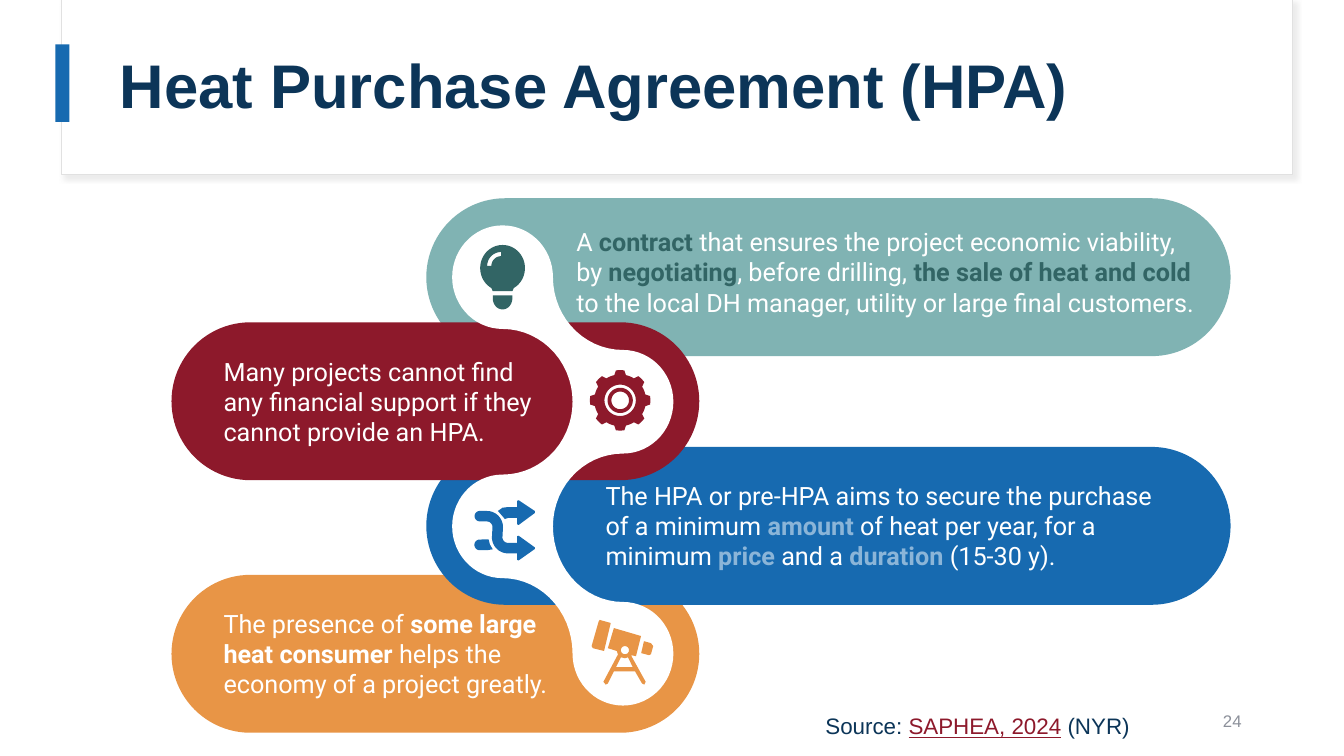
from math import cos, radians, sin

from lxml.etree import SubElement
from pptx import Presentation
from pptx.dml.color import RGBColor
from pptx.enum.shapes import MSO_SHAPE
from pptx.enum.text import MSO_ANCHOR, PP_ALIGN
from pptx.oxml.ns import qn
from pptx.util import Pt

COLORS = {
    "white": "FFFFFF", "frame": "E1E1E1", "shadow": "D9D9D9", "navy": "0C3558",
    "blue": "176AB0", "pale blue": "8BB5D8", "teal": "80B3B3", "dark teal": "326565",
    "red": "8D192B", "orange": "E89546", "gray": "8C909A",
}
DISC_LEFT, DISC_RIGHT = 359, 445
DISC_ROWS = (198, 287, 376, 467)
DISC_WIDTH, DISC_HEIGHT = 36, 37


def color_of(name):
    """Return the named colour."""
    return RGBColor.from_string(COLORS[name])


def paint(shape, fill, line=None):
    """Give a shape a flat fill and an optional thin outline."""
    shape.shadow.inherit = False
    shape.fill.solid()
    shape.fill.fore_color.rgb = color_of(fill)
    if line:
        shape.line.color.rgb = color_of(line)
        shape.line.width = Pt(0.75)
    else:
        shape.line.fill.background()


def add_block(slide, kind, box, fill, line=None):
    """Add a painted preset shape."""
    shape = slide.shapes.add_shape(kind, *map(Pt, box))
    paint(shape, fill, line)
    return shape


def add_pill(slide, box, fill):
    """Add a bar with fully rounded ends."""
    add_block(slide, MSO_SHAPE.ROUNDED_RECTANGLE, box, fill).adjustments[0] = 0.5


def add_drop_shadow(shape):
    """Add a soft shadow towards the lower right."""
    effects = shape._element.spPr.find(qn("a:effectLst"))
    shadow = SubElement(effects, qn("a:outerShdw"), blurRad=str(Pt(4)), dist=str(Pt(3)),
                        dir="2700000", algn="tl", rotWithShape="0")
    color = SubElement(shadow, qn("a:srgbClr"), val=COLORS["shadow"])
    SubElement(color, qn("a:alpha"), val="50000")


def arc(x, y, width, height, start, end):
    """Return points along an elliptic arc, in clockwise degrees."""
    steps = max(2, round(abs(end - start) / 6))
    angles = [radians(start + (end - start) * step / steps) for step in range(steps + 1)]
    return [(x + width * cos(angle), y + height * sin(angle)) for angle in angles]


def circle(x, y, radius):
    """Return the points of a circle."""
    return arc(x, y, radius, radius, 0, 360)


def add_outline(slide, fill, *contours):
    """Add one freeform made of closed contours; inner contours are holes."""
    scaled = [[(Pt(x), Pt(y)) for x, y in contour] for contour in contours]
    builder = slide.shapes.build_freeform(*scaled[0][0], scale=1.0)
    for index, points in enumerate(scaled):
        if index:
            builder.move_to(*points[0])
        builder.add_line_segments(points[1:], close=True)
    paint(builder.convert_to_shape(), fill)


def add_text(slide, box, runs, size, font="Roboto", anchor=MSO_ANCHOR.TOP,
             align=PP_ALIGN.LEFT, spacing=1.0):
    """Add a paragraph whose runs are (text, colour, style) tuples."""
    frame = slide.shapes.add_textbox(*map(Pt, box)).text_frame
    frame.word_wrap = True
    frame.vertical_anchor = anchor
    paragraph = frame.paragraphs[0]
    paragraph.alignment = align
    paragraph.line_spacing = spacing
    for text, color, style in runs:
        run = paragraph.add_run()
        run.text = text
        run.font.name = font
        run.font.size = Pt(size)
        run.font.color.rgb = color_of(color)
        run.font.bold = style == "bold"
        run.font.underline = style == "underline"


def add_ribbon(slide):
    """Add the white ribbon that joins the four icon discs."""
    first, second, third, fourth = DISC_ROWS
    hollow = DISC_RIGHT - DISC_LEFT - DISC_WIDTH
    upper = second - first - DISC_HEIGHT
    lower = fourth - third - DISC_HEIGHT
    disc = (DISC_WIDTH, DISC_HEIGHT)
    add_outline(slide, "white", (
        arc(DISC_LEFT, first, *disc, 90, 360)
        + arc(DISC_RIGHT, first, hollow, upper, 180, 90)
        + arc(DISC_RIGHT, second, *disc, -90, 90)
        + arc(DISC_RIGHT, third, hollow, upper, 270, 180)
        + arc(DISC_RIGHT, third, hollow, lower, 180, 90)
        + arc(DISC_RIGHT, fourth, *disc, -90, 180)
        + arc(DISC_LEFT, fourth, hollow, lower, 0, -90)
        + arc(DISC_LEFT, third, *disc, 90, 270)
        + arc(DISC_LEFT, second, hollow, upper, 90, -90)))


def add_bulb(slide, color):
    """Add the light bulb icon."""
    glass = arc(359, 191.5, 16, 16.5, 120, 420) + [(366, 208), (352, 208)]
    glint = arc(358, 190, 10, 10, 180, 270) + arc(358, 190, 7, 7, 270, 180)
    add_outline(slide, color, glass, glint)
    add_outline(slide, color, [(352, 211), (366, 211)] + arc(359, 213, 7, 8, 0, 180))


def add_gear(slide, color):
    """Add the gear icon with eight teeth."""
    x, y = 443, 286
    teeth = []
    for angle in range(0, 360, 45):
        teeth += arc(x, y, 21.6, 21.6, angle - 8, angle + 8)
        teeth += arc(x, y, 18.5, 18.5, angle + 13, angle + 32)
    add_outline(slide, color, teeth, circle(x, y, 11.2))
    add_outline(slide, color, circle(x, y, 9), circle(x, y, 6.3))


def add_shuffle(slide, color):
    """Add the icon of two crossing arrows."""
    add_outline(slide, color, (
        arc(342.7, 368.7, 3.7, 3.7, 90, 270)
        + arc(347.8, 376.5, 11.5, 11.5, -90, 0)
        + arc(362.9, 383.8, 4, 4, 180, 90)
        + [(369.4, 387.8), (369.4, 383), (370.5, 382.7), (382, 391), (382, 392.2),
           (370.5, 400.3), (369.4, 400), (369.4, 395.3)]
        + arc(362.9, 383.8, 11.5, 11.5, 90, 180)
        + arc(347.8, 376.5, 4, 4, 0, -90)))
    add_outline(slide, color, arc(342.7, 389.2, 3.8, 3.8, 90, 270)
                + [(349, 385.2), (350, 389), (352, 392.4), (348, 393)])
    add_outline(slide, color, [
        (369.4, 357.8), (370.5, 357.3), (382, 365), (382, 366.5), (370.5, 375),
        (369.4, 374.5), (369.4, 370), (363, 370), (360.7, 370.8), (355.7, 365),
        (359, 362.7), (363, 362.2), (369.4, 362.2)])


def add_telescope(slide, color):
    """Add the telescope icon."""
    add_outline(slide, color, [(428.4, 442.8), (427.6, 444), (422.6, 461.5), (423.5, 463),
                               (431.5, 465), (436.3, 445)])
    add_outline(
        slide, color,
        [(438.5, 448.6), (434.2, 463), (440.6, 465), (441.4, 467.5), (431, 487),
         (432.7, 489), (434.2, 488.2), (438.5, 479.5), (453.6, 479.5), (458.6, 488.2),
         (460.2, 489), (461.2, 487), (450.7, 468), (454.3, 468.7), (457.9, 454.3)],
        circle(446.4, 464.4, 2.9),
        [(443.5, 469.5), (446.4, 470.2), (448.6, 469.5), (452, 476.6), (440, 476.6)])
    add_outline(slide, color, [(460, 458), (458, 466.5), (463.7, 468), (465, 467.3),
                               (466.6, 461.5), (465, 459.4)])


def add_header(slide):
    """Add the framed title."""
    add_drop_shadow(add_block(slide, MSO_SHAPE.RECTANGLE, (44, 0, 879, 125), "white", "frame"))
    add_block(slide, MSO_SHAPE.RECTANGLE, (39.5, 31.7, 10, 55.5), "blue")
    add_text(slide, (78.5, 16.5, 800, 93), [("Heat Purchase Agreement (HPA)", "navy", "bold")],
             size=44, font="Arial", anchor=MSO_ANCHOR.MIDDLE, spacing=0.9)


def add_statements(slide):
    """Add the four statements on the pills."""
    add_text(slide, (404.6, 157.7, 463.7, 72.7), [
        ("A ", "white", ""), ("contract", "dark teal", "bold"),
        (" that ensures the project economic viability, by ", "white", ""),
        ("negotiating", "dark teal", "bold"), (", before drilling, ", "white", ""),
        ("the sale of heat and cold ", "dark teal", "bold"),
        ("to the local DH manager, utility or large final customers.", "white", "")],
        size=18, anchor=MSO_ANCHOR.MIDDLE)
    add_text(slide, (152.6, 250.6, 239, 72.7), [
        ("Many projects cannot find any financial support if they cannot provide an HPA.",
         "white", "")], size=18)
    add_text(slide, (425.5, 339.1, 410.4, 72.7), [
        ("The HPA or pre-HPA aims to secure the purchase of a minimum ", "white", ""),
        ("amount", "pale blue", "bold"), (" of heat per year, for a minimum ", "white", ""),
        ("price", "pale blue", "bold"), (" and a ", "white", ""),
        ("duration", "pale blue", "bold"), (" (15-30 y).", "white", "")],
        size=18, anchor=MSO_ANCHOR.MIDDLE)
    add_text(slide, (152.6, 430.6, 251.3, 72.7), [
        ("The presence of ", "white", ""), ("some large heat consumer", "white", "bold"),
        (" helps the economy of a project greatly.", "white", "")], size=18)


def main():
    """Build and save the slide."""
    presentation = Presentation()
    presentation.slide_width, presentation.slide_height = Pt(960), Pt(540)
    slide = presentation.slides.add_slide(presentation.slide_layouts[6])
    add_header(slide)
    for left, top, width, color in ((122.5, 410.6, 377, "orange"), (304.5, 319.2, 574.5, "blue"),
                                    (304.5, 141.6, 574.5, "teal"), (122.5, 230.2, 377, "red")):
        add_pill(slide, (left, top, width, 112.8), color)
    add_ribbon(slide)
    add_bulb(slide, "dark teal")
    add_gear(slide, "red")
    add_shuffle(slide, "blue")
    add_telescope(slide, "orange")
    add_statements(slide)
    add_text(slide, (678, 500.4, 216, 28.8), [("24", "gray", "")], size=12, font="Arial",
             anchor=MSO_ANCHOR.MIDDLE, align=PP_ALIGN.RIGHT)
    add_text(slide, (582.5, 505.4, 240, 26.6), [
        ("Source: ", "navy", ""), ("SAPHEA, 2024", "red", "underline"),
        (" (NYR)", "navy", "")], size=16, font="Arial")
    presentation.save("out.pptx")


if __name__ == "__main__":
    main()
